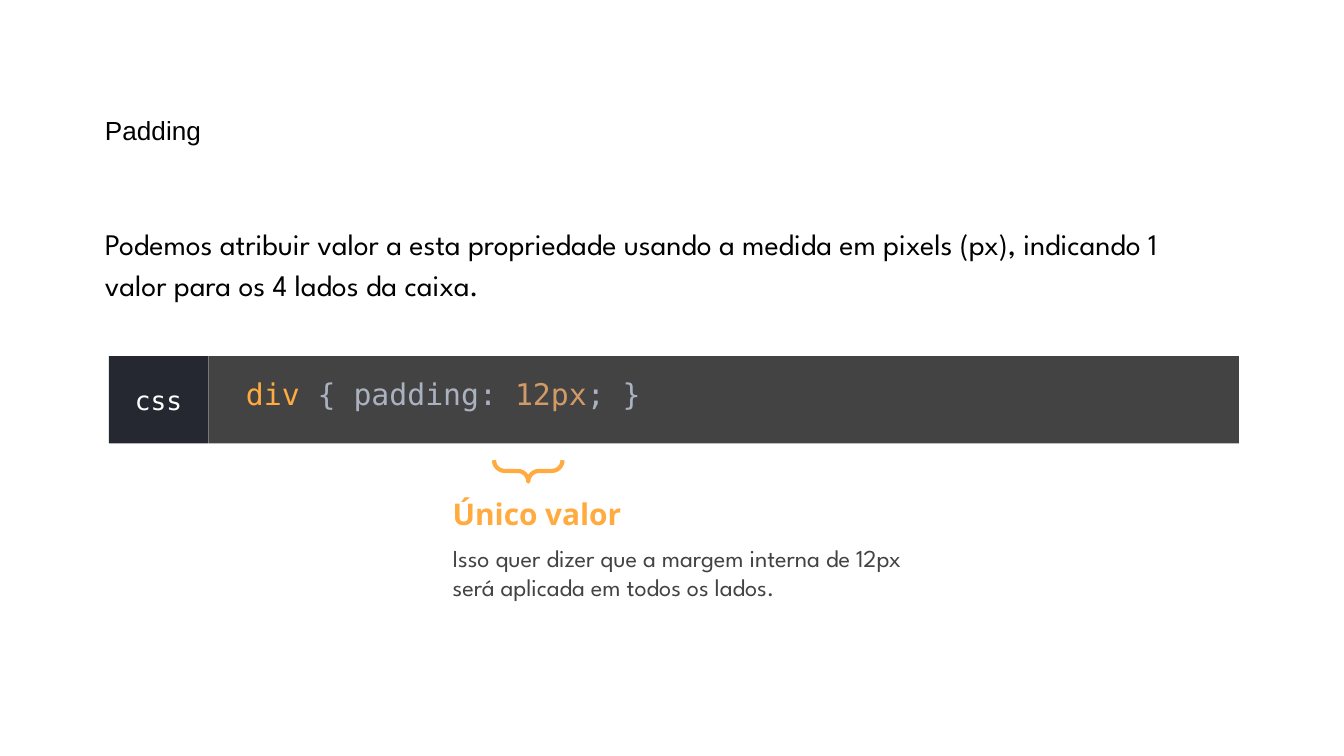
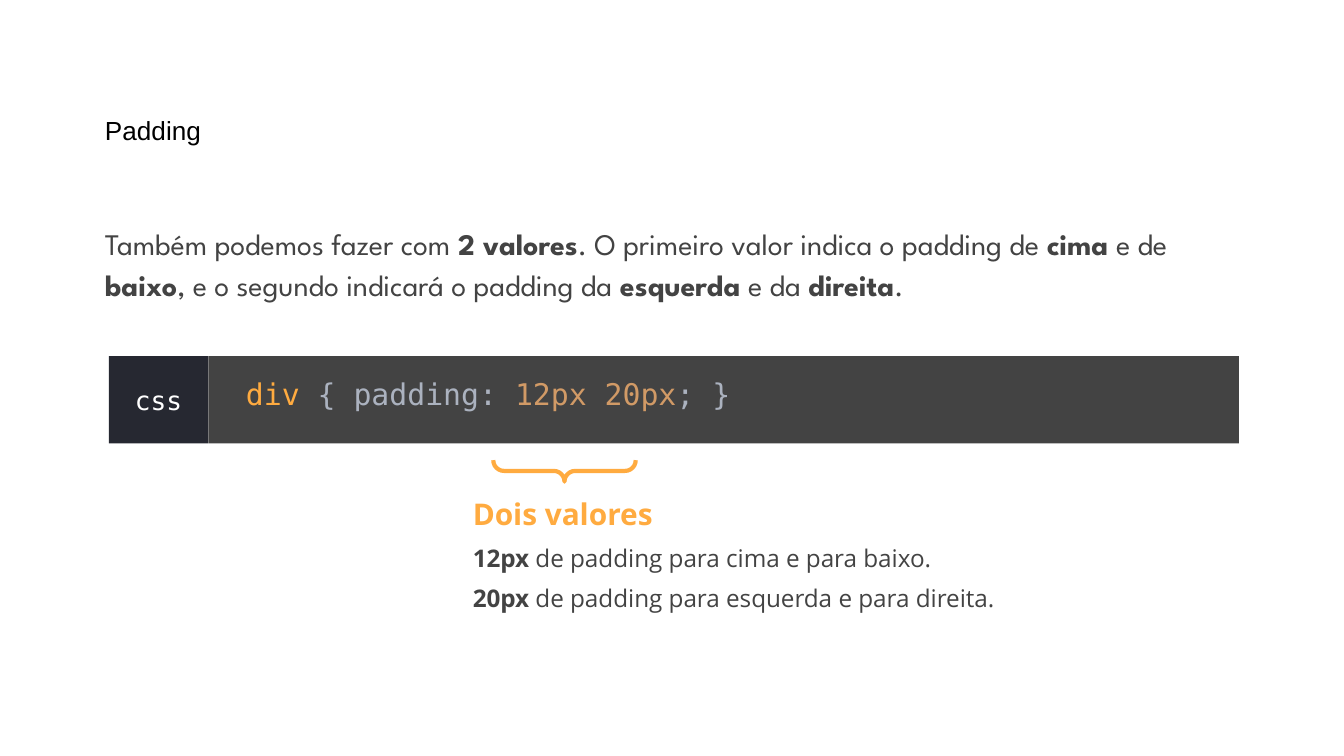
"""Build two slides on CSS padding."""
from dataclasses import dataclass
from lxml.etree import SubElement
from pptx import Presentation
from pptx.dml.color import RGBColor
from pptx.enum.shapes import MSO_SHAPE
from pptx.enum.text import MSO_ANCHOR, MSO_AUTO_SIZE, PP_ALIGN
from pptx.oxml.ns import qn
from pptx.util import Pt


@dataclass(frozen=True)
class Theme:
    black: str = "000000"
    white: str = "FFFFFF"
    gray: str = "434343"
    navy: str = "262831"
    gold: str = "FFAB40"
    silver: str = "ABB2BF"
    tan: str = "D19A66"
    plain: str = "Arial"
    round: str = "League Spartan"
    sans: str = "Open Sans"
    mono: str = "DejaVu Sans Mono"
    large: float = 16
    label: float = 14
    small: float = 13


class Deck:
    def __init__(self, theme):
        self.theme = theme
        self.file = Presentation()
        self.file.slide_width, self.file.slide_height = Pt(720), Pt(405)
        self.slide = None

    def start(self):
        self.slide = self.file.slides.add_slide(self.file.slide_layouts[1])

    def place(self, shape, left, top, width, height):
        shape.left, shape.top = Pt(left), Pt(top)
        shape.width, shape.height = Pt(width), Pt(height)

    def frame(self, shape, anchor, inset=(7.2, 7.2, 7.2, 7.2)):
        frame = shape.text_frame
        frame.word_wrap = True
        frame.auto_size = MSO_AUTO_SIZE.NONE
        frame.vertical_anchor = anchor
        left, top, right, bottom = map(Pt, inset)
        frame.margin_left, frame.margin_top = left, top
        frame.margin_right, frame.margin_bottom = right, bottom
        return frame

    def style(self, para, face, size, color, align=PP_ALIGN.LEFT, indent=0):
        props = para._p.get_or_add_pPr()
        props.set("marL", str(Pt(indent)))
        props.set("indent", "0")
        SubElement(props, qn("a:buNone"))
        para.alignment = align
        para.space_before = Pt(0)
        para.font.name, para.font.size = face, Pt(size)
        para.font.color.rgb = RGBColor.from_string(color)

    def fill(self, para, text):
        for part, piece in enumerate(text.split("*")):
            for row, line in enumerate(piece.split("\n")):
                if row:
                    para.add_line_break()
                if line:
                    run = para.add_run()
                    run.text = line
                    if part % 2:
                        run.font.bold = True

    def title(self, text):
        shape = self.slide.shapes.title
        self.place(shape, 49, 46.8, 612.7, 45.4)
        para = self.frame(shape, MSO_ANCHOR.MIDDLE).paragraphs[0]
        self.style(para, self.theme.plain, self.theme.label, self.theme.black)
        self.fill(para, text)

    def body(self, text, color):
        shape = self.slide.placeholders[1]
        self.place(shape, 49, 110.9, 614.2, 97.9)
        para = self.frame(shape, MSO_ANCHOR.TOP).paragraphs[0]
        self.style(para, self.theme.round, self.theme.large, color)
        para.line_spacing = 1.15
        self.fill(para, text)

    def block(self, group, left, width, color):
        shape = group.shapes.add_shape(
            MSO_SHAPE.RECTANGLE, Pt(left), Pt(190.8), Pt(width), Pt(46.8))
        shape.shadow.inherit = False
        shape.fill.solid()
        shape.fill.fore_color.rgb = RGBColor.from_string(color)
        shape.line.fill.background()
        return shape

    def code(self, value):
        theme = self.theme
        group = self.slide.shapes.add_group_shape()
        bar = self.block(group, 111.6, 552.2, theme.gray)
        para = self.frame(bar, MSO_ANCHOR.MIDDLE, (5.8, 0, 7.2, 7.2)).paragraphs[0]
        self.style(para, theme.mono, theme.large, theme.silver, indent=14.4)
        for text, color in (("div ", theme.gold), ("{ padding: ", None),
                            (value, theme.tan), ("; }", None)):
            run = para.add_run()
            run.text = text
            if color:
                run.font.color.rgb = RGBColor.from_string(color)
        tag = self.block(group, 58.3, 53.3, theme.navy)
        para = self.frame(tag, MSO_ANCHOR.MIDDLE).paragraphs[0]
        self.style(para, theme.mono, theme.label, theme.white, PP_ALIGN.CENTER)
        self.fill(para, "css")

    def brace(self, center, span):
        depth = 11.5
        shape = self.slide.shapes.add_shape(
            MSO_SHAPE.RIGHT_BRACE, Pt(center - depth / 2), Pt(252.3 - span / 2),
            Pt(depth), Pt(span))
        shape.rotation = 90
        shape.adjustments[0] = shape.adjustments[1] = 0.5
        shape.shadow.inherit = False
        shape.fill.background()
        shape.line.color.rgb = RGBColor.from_string(self.theme.gold)
        shape.line.width = Pt(2.25)

    def note(self, left, width, head, face, lines):
        theme = self.theme
        shape = self.slide.shapes.add_textbox(
            Pt(left), Pt(258.5), Pt(width), Pt(103.7))
        frame = self.frame(shape, MSO_ANCHOR.TOP)
        para = frame.paragraphs[0]
        self.style(para, theme.sans, theme.large, theme.gold)
        para.font.bold = True
        self.fill(para, head)
        for line in lines:
            para = frame.add_paragraph()
            self.style(para, face, theme.small, theme.gray)
            para.space_before = Pt(6)
            self.fill(para, line)


def main():
    theme = Theme()
    deck = Deck(theme)

    deck.start()
    deck.title("Padding")
    deck.body("Podemos atribuir valor a esta propriedade usando a medida em "
              "pixels (px), indicando 1 valor para os 4 lados da caixa.", theme.black)
    deck.code("12px")
    deck.brace(283, 36.7)
    deck.note(235.4, 316.1, "Único valor", theme.round,
              ["Isso quer dizer que a margem interna de 12px\n"
               "será aplicada em todos os lados."])

    deck.start()
    deck.title("Padding")
    deck.body("Também podemos fazer com *2 valores*. O primeiro valor indica o "
              "padding de *cima *e de *baixo*, e o segundo indicará o padding da "
              "*esquerda *e da *direita*.", theme.gray)
    deck.code("12px 20px")
    deck.brace(302.4, 76.3)
    deck.note(246.2, 301, "Dois valores", theme.sans,
              ["*12px* de padding para cima e para baixo.",
               "*20px* de padding para esquerda e para direita."])

    deck.file.save("out.pptx")


if __name__ == "__main__":
    main()
